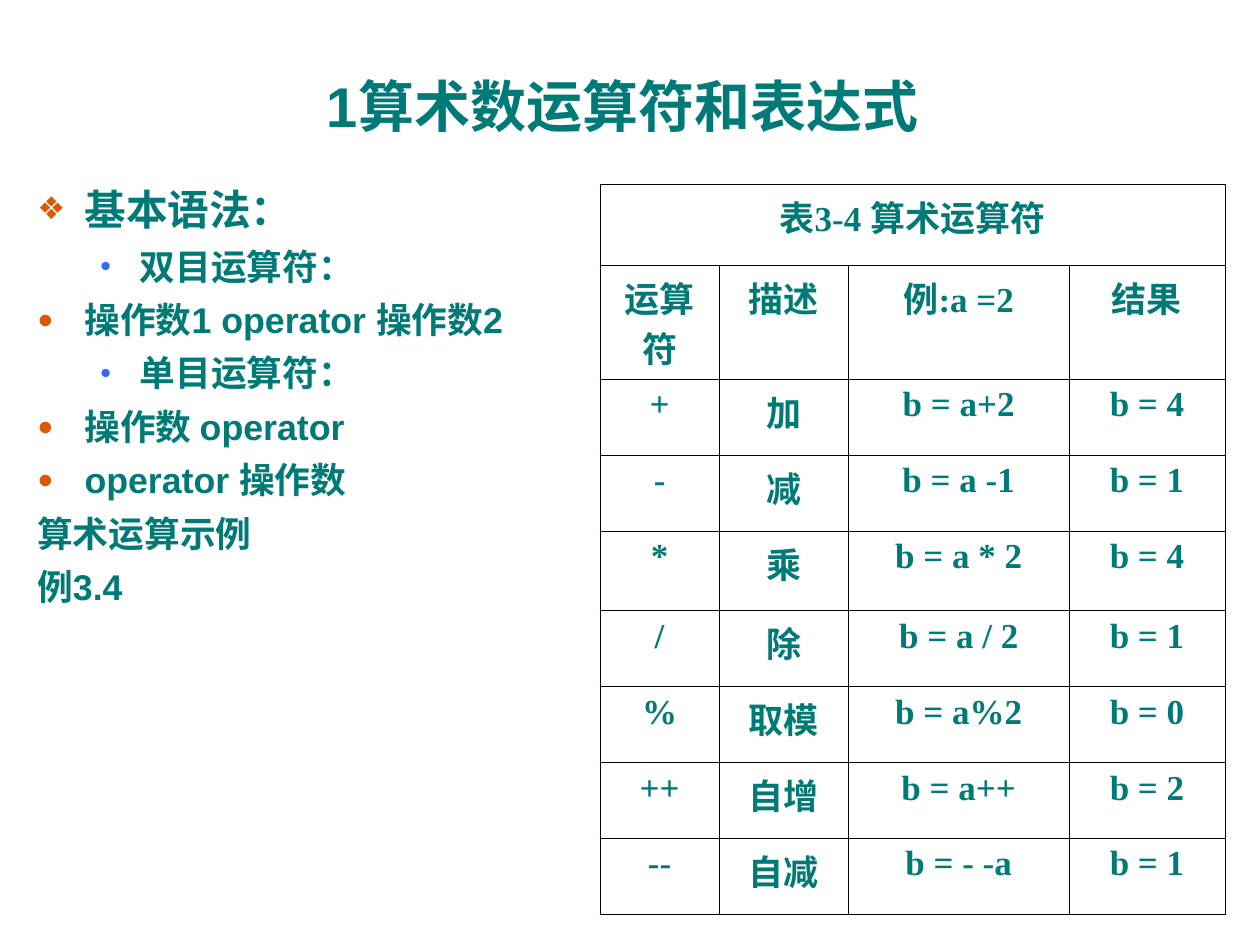
from lxml import etree
from pptx import Presentation
from pptx.dml.color import RGBColor
from pptx.enum.text import MSO_ANCHOR, PP_ALIGN
from pptx.oxml.ns import qn
from pptx.util import Pt

CENTER = PP_ALIGN.CENTER
MIDDLE = MSO_ANCHOR.MIDDLE
TEAL, ORANGE, BLUE, BLACK = "007A77", "DC5900", "3366FF", "000000"

TITLE = "1算术数运算符和表达式"

# kind: (level, left margin, indent, bullet, bullet colour, bullet size %)
KINDS = {
    "head": (0, 27, -27, "❖", ORANGE, 75),
    "sub": (1, 58.5, -22.5, "•", BLUE, 85),
    "item": (0, 27, -27, "●", ORANGE, 75),
    "plain": (0, 27, -27, None, None, None),
}
SYNTAX = [
    ("head", "基本语法："),
    ("sub", "双目运算符："),
    ("item", "操作数1 operator 操作数2"),
    ("sub", "单目运算符："),
    ("item", "操作数 operator"),
    ("item", "operator 操作数"),
    ("plain", "算术运算示例"),
    ("plain", "例3.4"),
]

CAPTION = "表3-4 算术运算符"
OPERATORS = [
    ("运算符", "描述", "例:a =2", "结果"),
    ("+", "加", "b = a+2", "b = 4"),
    ("-", "减", "b = a -1", "b = 1"),
    ("*", "乘", "b = a * 2", "b = 4"),
    ("/", "除", "b = a / 2", "b = 1"),
    ("%", "取模", "b = a%2", "b = 0"),
    ("++", "自增", "b = a++", "b = 2"),
    ("--", "自减", "b = - -a", "b = 1"),
]
COL_WIDTHS = [68, 74, 126, 89.2]
# The heading row holds two lines of text
ROW_HEIGHTS = [46, 65.2, 43.4, 43.4, 45.4, 43.4, 43.4, 43.4, 43.4]


def rgb(value):
    return RGBColor.from_string(value)


def add_run(p, text, size, font):
    r = p.add_run()
    r.text = text
    r.font.size = Pt(size)
    r.font.name = font
    r.font.bold = True
    r.font.color.rgb = rgb(TEAL)


def add_box(s, left, top, width, height):
    tf = s.shapes.add_textbox(Pt(left), Pt(top), Pt(width), Pt(height)).text_frame
    tf.word_wrap = True
    return tf


def set_bullet(p, char, color, percent):
    pPr = p._p.get_or_add_pPr()
    if char is None:
        etree.SubElement(pPr, qn("a:buNone"))
        return
    clr = etree.SubElement(pPr, qn("a:buClr"))
    etree.SubElement(clr, qn("a:srgbClr"), val=color)
    etree.SubElement(pPr, qn("a:buSzPct"), val=str(percent * 1000))
    etree.SubElement(pPr, qn("a:buFont"), typeface="Arial")
    etree.SubElement(pPr, qn("a:buChar"), char=char)


def set_borders(cell, widths):
    """Draw the left, right, top and bottom edges in the given widths."""
    tcPr = cell._tc.get_or_add_tcPr()
    for i, (side, width) in enumerate(zip("LRTB", widths)):
        ln = etree.Element(qn(f"a:ln{side}"), w=str(Pt(width)))
        fill = etree.SubElement(ln, qn("a:solidFill"))
        etree.SubElement(fill, qn("a:srgbClr"), val=BLACK)
        tcPr.insert(i, ln)


def add_title(s):
    tf = add_box(s, 19.7, 15.1, 672.5, 90)
    tf.vertical_anchor = MIDDLE
    p = tf.paragraphs[0]
    p.alignment = CENTER
    add_run(p, TITLE, 32, "Arial")


def add_syntax(s):
    tf = add_box(s, 14.2, 65.5, 347, 290)
    tf.margin_top = Pt(39.7)
    for i, (kind, text) in enumerate(SYNTAX):
        level, margin, indent, char, color, percent = KINDS[kind]
        p = tf.add_paragraph() if i else tf.paragraphs[0]
        p.level = level
        p.space_before = Pt(6 if i else 0)
        p.line_spacing = Pt(28.5 if kind == "head" else 24.5)
        pPr = p._p.get_or_add_pPr()
        pPr.set("marL", str(Pt(margin)))
        pPr.set("indent", str(Pt(indent)))
        set_bullet(p, char, color, percent)
        add_run(p, text, 23.8 if kind == "head" else 20.4, "Arial")


def add_operators(s):
    rows, cols = len(ROW_HEIGHTS), len(COL_WIDTHS)
    table = s.shapes.add_table(rows, cols, Pt(342.9), Pt(105.5),
                               Pt(sum(COL_WIDTHS)), Pt(sum(ROW_HEIGHTS))).table
    table.first_row = table.horz_banding = False
    for col, width in zip(table.columns, COL_WIDTHS):
        col.width = Pt(width)
    for row, height in zip(table.rows, ROW_HEIGHTS):
        row.height = Pt(height)
    table.cell(0, 0).merge(table.cell(0, cols - 1))
    for i, texts in enumerate([(CAPTION,) + ("",) * (cols - 1)] + OPERATORS):
        for j, text in enumerate(texts):
            cell = table.cell(i, j)
            cell.fill.background()
            outer = (j == 0, j == cols - 1 or (i, j) == (0, 0), i == 0, False)
            set_borders(cell, [0.75 if edge else 0.45 for edge in outer])
            if text:
                p = cell.text_frame.paragraphs[0]
                p.alignment = CENTER
                add_run(p, text, 20, "Times New Roman")


def main():
    prs = Presentation()
    prs.slide_width, prs.slide_height = Pt(720), Pt(540)
    s = prs.slides.add_slide(prs.slide_layouts[6])
    add_title(s)
    add_syntax(s)
    add_operators(s)
    prs.save("out.pptx")


if __name__ == "__main__":
    main()
